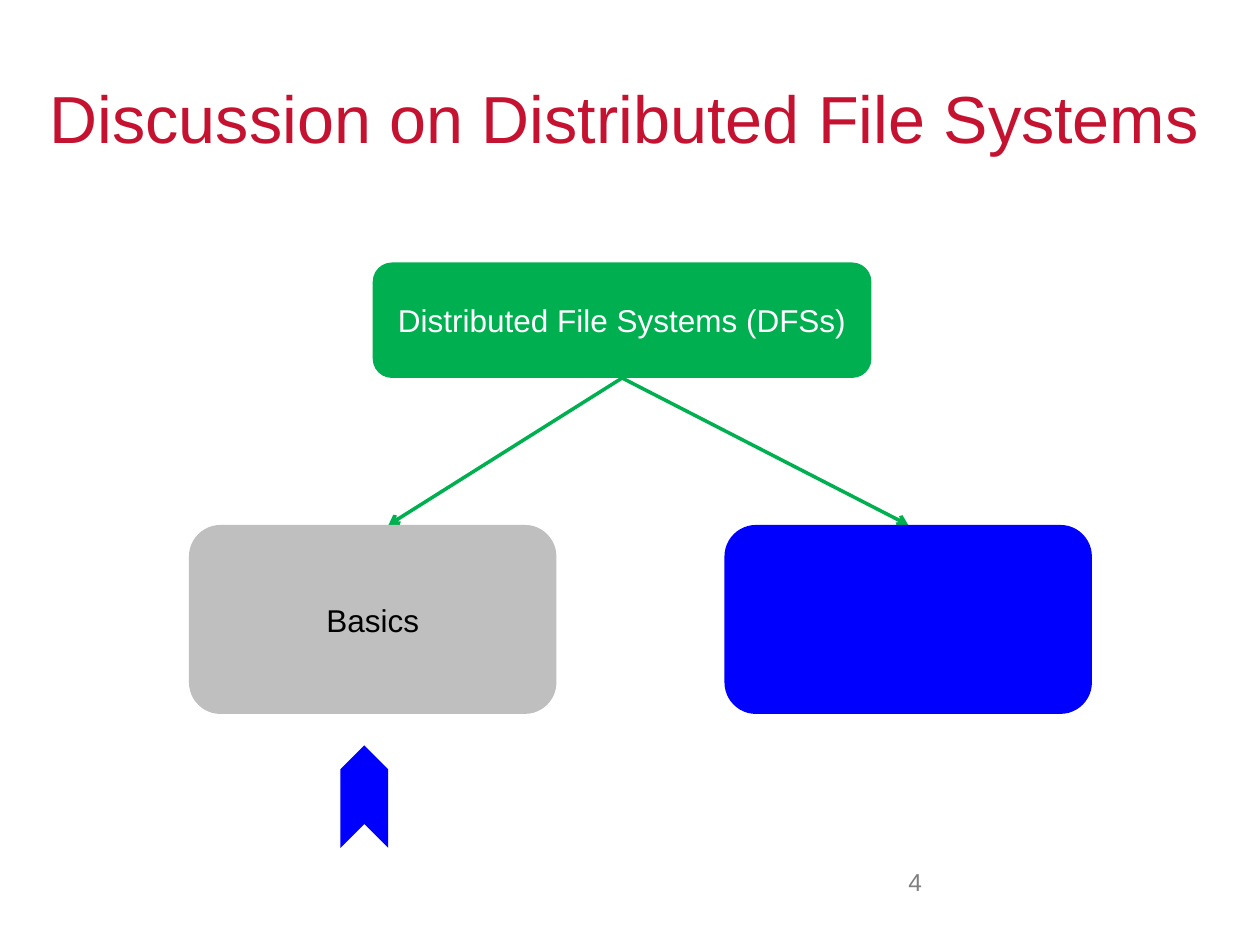
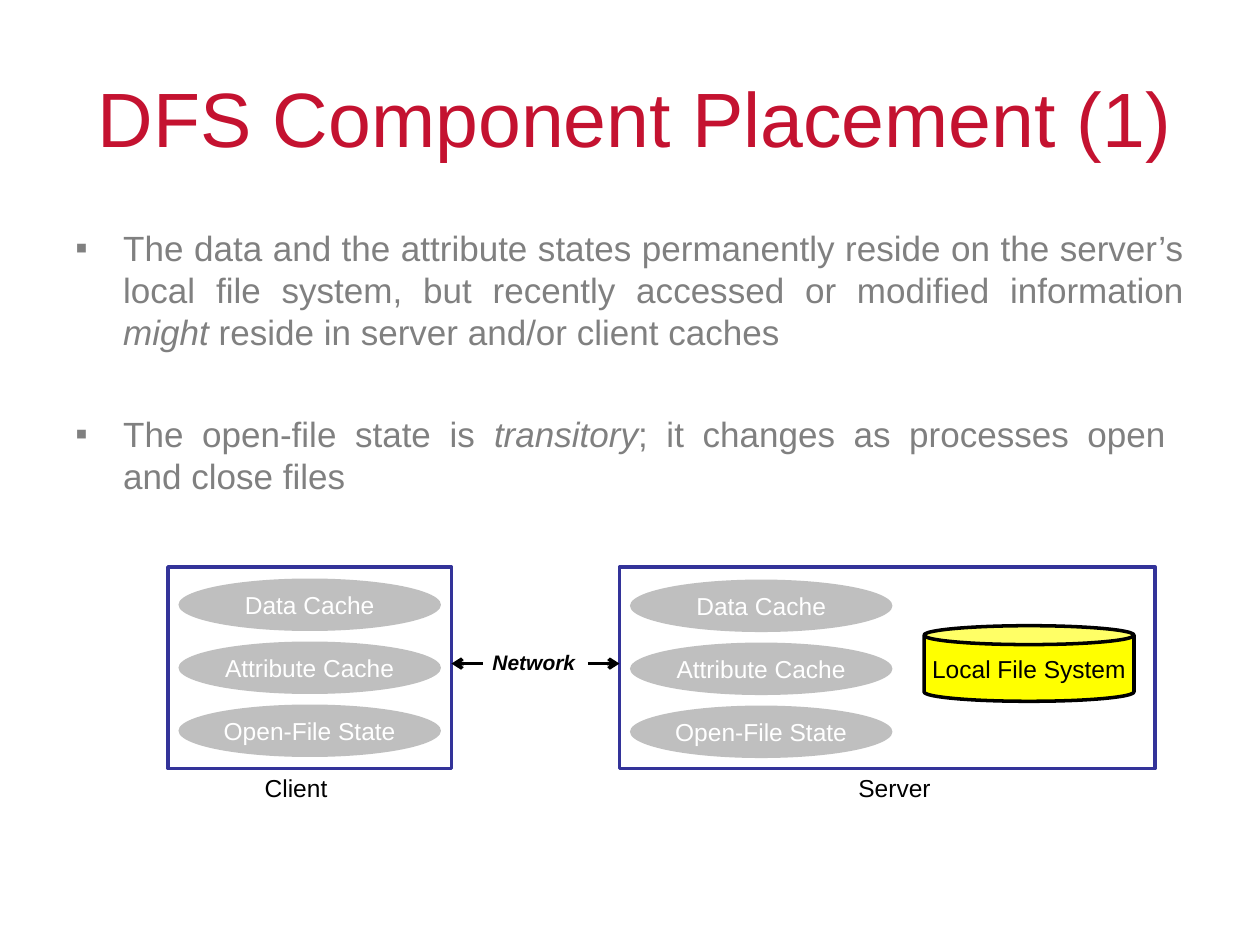
"""Two slides on distributed file systems: topic tree and component placement."""
from dataclasses import dataclass

from lxml import etree
from pptx import Presentation
from pptx.dml.color import RGBColor
from pptx.enum.shapes import MSO_CONNECTOR, MSO_SHAPE
from pptx.enum.text import MSO_ANCHOR, MSO_AUTO_SIZE, PP_ALIGN
from pptx.oxml.ns import qn
from pptx.util import Inches, Pt

ROUNDED, ELLIPSE = MSO_SHAPE.ROUNDED_RECTANGLE, MSO_SHAPE.OVAL
RECTANGLE, CAN = MSO_SHAPE.RECTANGLE, MSO_SHAPE.CAN
STRAIGHT = MSO_CONNECTOR.STRAIGHT
CENTER, RIGHT, JUSTIFY = PP_ALIGN.CENTER, PP_ALIGN.RIGHT, PP_ALIGN.JUSTIFY
TOP, MIDDLE = MSO_ANCHOR.TOP, MSO_ANCHOR.MIDDLE
NO_AUTOFIT = MSO_AUTO_SIZE.NONE
TITLE_ONLY = 5
COLUMNS, ROWS = 120, 90
CELL = Inches(10) / COLUMNS


@dataclass(frozen=True)
class Theme:
    """Fonts, type sizes in points and colours."""
    font: str = "Arial"
    title_small: int = 38
    title_large: int = 44
    body: int = 20
    node: int = 18
    label: int = 14
    network: int = 12
    body_pitch: int = 24
    body_gap: int = 34
    line: int = 2
    red: str = "C41230"
    green: str = "00B050"
    silver: str = "BFBFBF"
    gray: str = "808080"
    blue: str = "0000FF"
    navy: str = "333399"
    yellow: str = "FFFF00"
    black: str = "000000"
    white: str = "FFFFFF"


THEME = Theme()


def grid(*cells):
    """Convert grid cells to lengths."""
    return [round(cell * CELL) for cell in cells]


def rgb(color):
    """Return the colour for a hex string."""
    return RGBColor.from_string(color)


def style_run(run, size, color, bold=False, italic=False):
    """Format one run in the theme font."""
    run.font.name, run.font.size = THEME.font, Pt(size)
    run.font.bold, run.font.italic = bold, italic
    run.font.color.rgb = rgb(color)


def set_text(frame, text, size, color, align=CENTER, anchor=MIDDLE, inset=0.1, **emphasis):
    """Fill a text frame with one formatted paragraph."""
    frame.text = text
    frame.auto_size = NO_AUTOFIT
    frame.vertical_anchor = anchor
    frame.margin_left = frame.margin_right = Inches(inset)
    frame.margin_top = frame.margin_bottom = Inches(inset / 2)
    paragraph = frame.paragraphs[0]
    paragraph.alignment = align
    for run in paragraph.runs:
        style_run(run, size, color, **emphasis)


def add_titled_slide(deck, title, size, left, width):
    """Add a slide and place its title in the shared title row."""
    slide = deck.slides.add_slide(deck.slide_layouts[TITLE_ONLY])
    heading = slide.shapes.title
    heading.left, heading.top, heading.width, heading.height = grid(left, 3.6, width, 15)
    set_text(heading.text_frame, title, size, THEME.red, inset=0)
    return slide


def paint(shape, fill=None, outline=None):
    """Give a shape its fill and outline without a shadow."""
    shape.shadow.inherit = False
    if fill:
        shape.fill.solid()
        shape.fill.fore_color.rgb = rgb(fill)
    else:
        shape.fill.background()
    if outline:
        shape.line.color.rgb = rgb(outline)
        shape.line.width = Pt(THEME.line)
    else:
        shape.line.fill.background()


def add_node(slide, kind, place, fill=None, outline=None, text="",
             size=THEME.label, color=THEME.white, inset=0):
    """Add a preset shape with optional centred text."""
    node = slide.shapes.add_shape(kind, *grid(*place))
    paint(node, fill, outline)
    if text:
        set_text(node.text_frame, text, size, color, inset=inset)
        node.text_frame.word_wrap = True


def add_label(slide, place, text, size=THEME.label, color=THEME.black, align=CENTER, **emphasis):
    """Add a one-line caption."""
    label = slide.shapes.add_textbox(*grid(*place))
    set_text(label.text_frame, text, size, color, align, TOP, **emphasis)


def add_arrow(slide, start, end, color):
    """Draw a straight line with an open arrowhead at its end."""
    arrow = slide.shapes.add_connector(STRAIGHT, *grid(*start, *end))
    arrow.line.color.rgb = rgb(color)
    arrow.line.width = Pt(THEME.line)
    etree.SubElement(arrow.line._get_or_add_ln(), qn("a:tailEnd"), type="arrow")
    etree.SubElement(arrow._element.spPr, qn("a:effectLst"))


def add_up_chevron(slide, center, top, half_width, depth, height):
    """Draw an upward chevron that marks the current topic."""
    left, right, bottom = center - half_width, center + half_width, top + height
    corners = [(left, bottom), (left, top + depth), (center, top),
               (right, top + depth), (right, bottom), (center, bottom - depth)]
    points = [tuple(grid(*corner)) for corner in corners]
    outline = slide.shapes.build_freeform(*points[0])
    outline.add_line_segments(points[1:], close=True)
    paint(outline.convert_to_shape(), THEME.blue)


def set_bullet(paragraph):
    """Hang a small square bullet before a paragraph."""
    properties = paragraph._p.get_or_add_pPr()
    properties.set("marL", str(Inches(0.38)))
    properties.set("indent", str(-Inches(0.38)))
    tint = etree.SubElement(properties, qn("a:buClr"))
    etree.SubElement(tint, qn("a:srgbClr"), val=THEME.gray)
    etree.SubElement(properties, qn("a:buFont"), typeface=THEME.font)
    etree.SubElement(properties, qn("a:buChar"), char="▪")


def add_bullets(slide, place, points):
    """Add justified bullets; every second part of a point is italic."""
    frame = slide.shapes.add_textbox(*grid(*place)).text_frame
    frame.word_wrap = True
    for number, parts in enumerate(points):
        paragraph = frame.add_paragraph() if number else frame.paragraphs[0]
        set_bullet(paragraph)
        paragraph.alignment = JUSTIFY
        paragraph.line_spacing = Pt(THEME.body_pitch)
        if number:
            paragraph.space_before = Pt(THEME.body_gap)
        for index, part in enumerate(parts):
            for row, line in enumerate(part.split("\n")):
                if row:
                    paragraph.add_line_break()
                run = paragraph.add_run()
                run.text = line
                style_run(run, THEME.body, THEME.gray, italic=index % 2 == 1)


def add_machine(slide, left, top, width, first_state, name, name_place):
    """Frame a machine with its three stacked states and its name."""
    add_node(slide, RECTANGLE, (left, top, width, 19.2), outline=THEME.navy)
    for row, state in enumerate(("Data Cache", "Attribute Cache", "Open-File State")):
        add_node(slide, ELLIPSE, (left + 1, first_state + 6 * row, 25, 5), THEME.silver, text=state)
    add_label(slide, name_place, name)


def build_discussion(deck):
    """Build the topic tree."""
    slide = add_titled_slide(deck, "Discussion on Distributed File Systems",
                             THEME.title_small, 2, 115)
    add_label(slide, (78, 82, 11, 6.2), "4", color=THEME.gray, align=RIGHT)
    add_node(slide, ROUNDED, (35.5, 25, 47.5, 11), THEME.green,
             text="Distributed File Systems (DFSs)", size=THEME.node, inset=0.1)
    for branch in (37, 86.5):
        add_arrow(slide, (59.25, 36), (branch, 50), THEME.green)
    add_node(slide, ROUNDED, (18, 50, 35, 18), THEME.silver,
             text="Basics", size=THEME.node, color=THEME.black, inset=0.1)
    add_node(slide, ROUNDED, (69, 50, 35, 18), THEME.blue)
    add_up_chevron(slide, center=34.7, top=71, half_width=2.27, depth=2.27, height=9.75)


def build_placement(deck):
    """Build the client and server component diagram."""
    slide = add_titled_slide(deck, "DFS Component Placement (1)", THEME.title_large, 6, 109)
    add_bullets(slide, (6, 21, 108, 30), [
        ("The data and the attribute states permanently reside on the server’s local file system, "
         "but recently accessed or modified information ", "might",
         " reside in server and/or client caches"),
        ("The open-file state is ", "transitory",
         "; it changes as processes open \nand close files"),
    ])
    add_machine(slide, 16, 54, 27, 55.1, "Client", (24, 73, 8.4, 4))
    add_machine(slide, 59, 54, 51, 55.2, "Server", (80.6, 73, 9.2, 4))
    add_node(slide, CAN, (88, 59.6, 20, 7.2), THEME.yellow, THEME.black,
             "Local File System", color=THEME.black)
    for start, end in ((56, 59), (46, 43)):
        add_arrow(slide, (start, 63.2), (end, 63.2), THEME.black)
    add_label(slide, (45.7, 61.3, 10.3, 3.6), "Network", THEME.network, bold=True, italic=True)


def main():
    """Build and save the deck."""
    deck = Presentation()
    deck.slide_width, deck.slide_height = grid(COLUMNS, ROWS)
    build_discussion(deck)
    build_placement(deck)
    deck.save("out.pptx")


if __name__ == "__main__":
    main()
